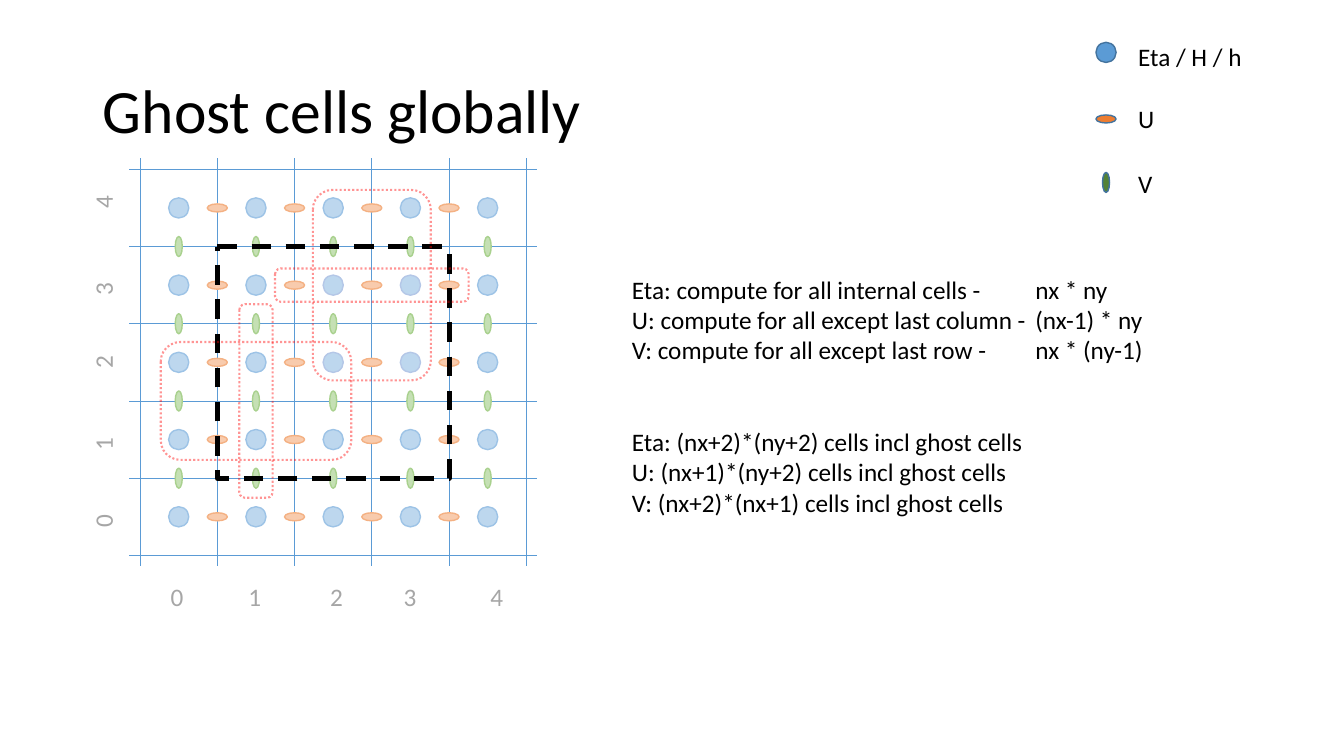
from lxml import etree
from pptx import Presentation, util as u
from pptx.dml.color import RGBColor
from pptx.enum import dml, shapes, text
from pptx.oxml.ns import qn

# Content
TITLE = "Ghost cells globally"
LEGEND = [  # variable, label, marker centre, label top
    ("eta", "Eta / H / h", 0.52, 0.36),
    ("u", "U", 1.18, 0.98),
    ("v", "V", 1.81, 1.62),
]
RULES = [
    "Eta: compute for all internal cells - \tnx * ny",
    "U: compute for all except last column - \t(nx-1) * ny",
    "V: compute for all except last row - \tnx * (ny-1)",
]
COUNTS = [
    "Eta: (nx+2)*(ny+2) cells incl ghost cells",
    "U: (nx+1)*(ny+2) cells incl ghost cells",
    "V: (nx+2)*(nx+1) cells incl ghost cells",
]
COLUMN_LABELS = [1.76, 2.53, 3.34, 4.07, 4.93]  # label centres, 0 to 4
ROW_LABELS = [5.17, 4.4, 3.59, 2.86, 2.0]
STENCILS = [  # centre column, centre row, width, height
    (3, 1.5, 1.92, 0.33),
    (3, 1.5, 1.17, 1.89),
    (1.5, 3, 0.33, 1.92),
    (1.5, 3, 1.89, 1.17),
]

THEME = {
    "font": "Calibri", "title": 44, "body": 18,
    "ink": "000000", "label": "A6A6A6", "grid": "5B9BD5",
    "stencil": "FF0000", "shared": "B4C7E7", "legend_line": "43739E",
}
MARKERS = {  # size, fill and line in the grid, fill in the legend
    "eta": ((0.2, 0.2), "BDD7EE", "9DC3E6", "5B9BD5"),
    "v": ((0.07, 0.2), "C5E0B4", "A9D18E", "548235"),
    "u": ((0.2, 0.08), "F8CBAD", "F4B183", "ED7D31"),
}

# Grid
CELLS = 5
LEFT, TOP, SIDE, OVERHANG = 1.39, 1.68, 3.83, 0.11
PITCH = SIDE / CELLS


def grid_x(column):
    return LEFT + column * PITCH


def grid_y(row):
    return TOP + row * PITCH


def inches(*lengths):
    return [u.Inches(length) for length in lengths]


def color(name):
    return RGBColor.from_string(THEME.get(name, name))


def apply(target, **values):
    for name, value in values.items():
        setattr(target, name, value)


def set_line(line, line_color, width, dash=None):
    line.color.rgb = color(line_color)
    apply(line, width=u.Pt(width), dash_style=dash)


def add_centred(kind, x, y, width, height, fill, line_color, weight=1, dash=None):
    shape = slide.shapes.add_shape(
        kind, *inches(x - width / 2, y - height / 2, width, height))
    shape.shadow.inherit = False
    if fill:
        shape.fill.solid()
        shape.fill.fore_color.rgb = color(fill)
    else:
        shape.fill.background()
    set_line(shape.line, line_color, weight, dash)
    return shape


def add_marker(variable, x, y, fill, line_color):
    width, height = MARKERS[variable][0]
    add_centred(shapes.MSO_SHAPE.OVAL, x, y, width, height, fill, line_color)


def add_grid_line(*ends):
    line = slide.shapes.add_connector(shapes.MSO_CONNECTOR.STRAIGHT, *inches(*ends))
    set_line(line.line, "grid", 0.5)
    etree.SubElement(line._element.spPr, qn("a:effectLst"))


def write(frame, lines, size, ink):
    for index, words in enumerate(lines):
        paragraph = frame.paragraphs[0] if index == 0 else frame.add_paragraph()
        run = paragraph.add_run()
        run.text = words
        apply(run.font, name=THEME["font"], size=u.Pt(THEME[size]))
        run.font.color.rgb = color(ink)


def add_text(box, lines, ink="ink", wrap=True, rotation=0):
    shape = slide.shapes.add_textbox(*inches(*box))
    shape.rotation = rotation
    shape.text_frame.word_wrap = wrap
    write(shape.text_frame, lines, "body", ink)
    return shape


presentation = Presentation()
apply(presentation, slide_width=u.Inches(13.33), slide_height=u.Inches(7.5))
slide = presentation.slides.add_slide(presentation.slide_layouts[5])

# Grid lines
for step in range(CELLS + 1):
    add_grid_line(LEFT - OVERHANG, grid_y(step), LEFT + SIDE + OVERHANG, grid_y(step))
    add_grid_line(grid_x(step), TOP - OVERHANG, grid_x(step), TOP + SIDE + OVERHANG)

# Markers: eta in cell centres, v on horizontal edges, u on vertical edges
PLACES = {
    "eta": [(c + 0.5, r + 0.5) for r in range(CELLS) for c in range(CELLS)],
    "v": [(c + 0.5, r) for r in range(1, CELLS) for c in range(CELLS)],
    "u": [(c, r + 0.5) for r in range(CELLS) for c in range(1, CELLS)],
}
SHARED_CELLS = [(c, r) for c in (2.5, 3.5) for r in (1.5, 2.5)]
for variable, places in PLACES.items():
    _, fill, outline, _ = MARKERS[variable]
    for place in places:
        shared = variable == "eta" and place in SHARED_CELLS
        add_marker(variable, grid_x(place[0]), grid_y(place[1]), fill,
                   "shared" if shared else outline)

# Legend
for variable, label, centre, label_top in LEGEND:
    add_marker(variable, 10.97, centre, MARKERS[variable][3], "legend_line")
    add_text((11.19, label_top, 1.47, 0.4), [label])

# Title
title = slide.shapes.title
apply(title, **dict(zip(("left", "top", "width", "height"),
                        inches(0.92, 0.4, 11.5, 1.45))))
write(title.text_frame, [TITLE], "title", "ink")
title.text_frame.vertical_anchor = text.MSO_ANCHOR.MIDDLE
apply(title.text_frame.paragraphs[0], alignment=text.PP_ALIGN.LEFT, line_spacing=0.9)

# Border of the internal cells
corners = [inches(grid_x(c), grid_y(r)) for c, r in ((1, 1), (4, 1), (4, 4), (1, 4))]
builder = slide.shapes.build_freeform(*corners[0])
builder.add_line_segments(corners[1:], close=True)
border = builder.convert_to_shape()
border.shadow.inherit = False
border.fill.background()
set_line(border.line, "ink", 3.5, dml.MSO_LINE.DASH)

# Stencils
for column, row, width, height in STENCILS:
    stencil = add_centred(
        shapes.MSO_SHAPE.ROUNDED_RECTANGLE, grid_x(column), grid_y(row),
        width, height, None, "stencil", 1.5, dml.MSO_LINE.ROUND_DOT)
    stencil_color = stencil.line._ln.find(".//" + qn("a:srgbClr"))
    etree.SubElement(stencil_color, qn("a:alpha"), val="41000")

# Cell counts
notes = add_text((6.17, 2.67, 5.86, 2.52), RULES + COUNTS)
notes.text_frame.paragraphs[len(RULES)].space_before = u.Pt(44)

# Axis labels
for number, (x, y) in enumerate(zip(COLUMN_LABELS, ROW_LABELS)):
    for centre_x, centre_y, rotation in ((x, 5.92, 0), (1.02, y, 270)):
        add_text((centre_x - 0.165, centre_y - 0.2, 0.33, 0.4), [str(number)],
                 "label", False, rotation)

presentation.save("out.pptx")
